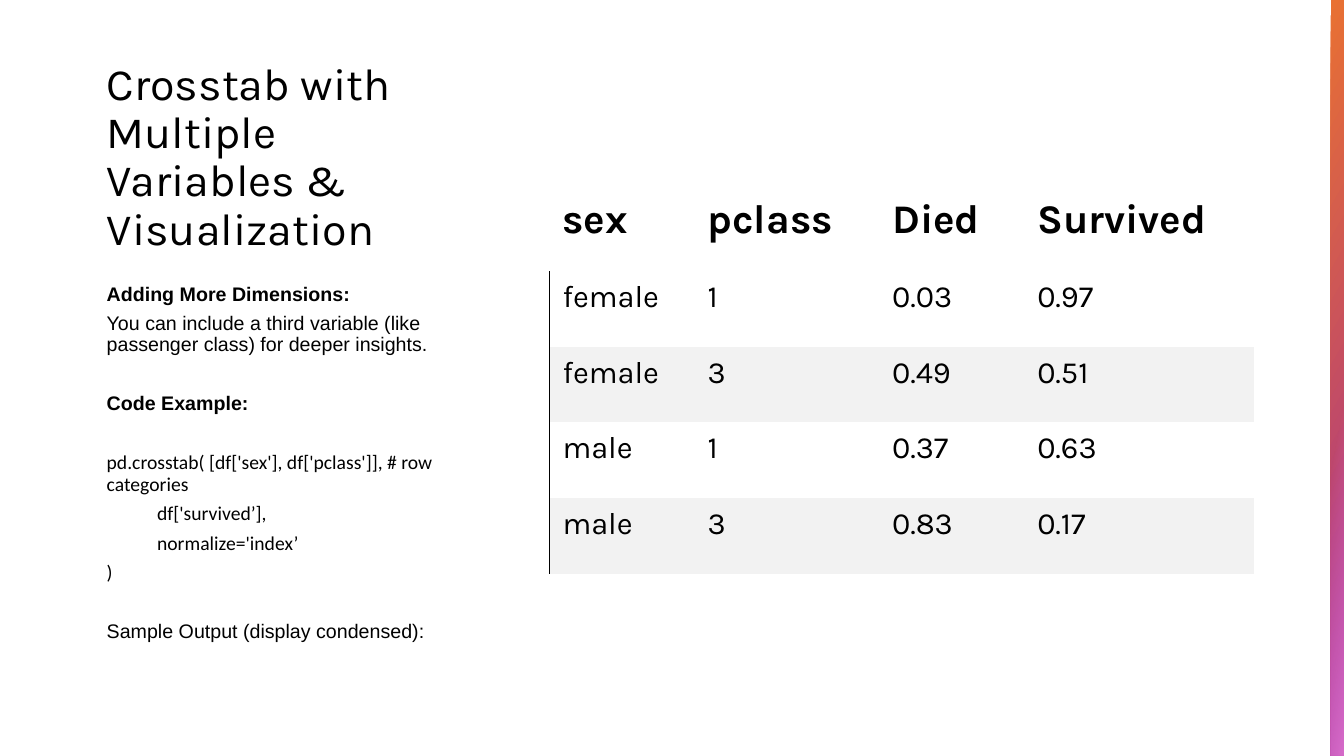
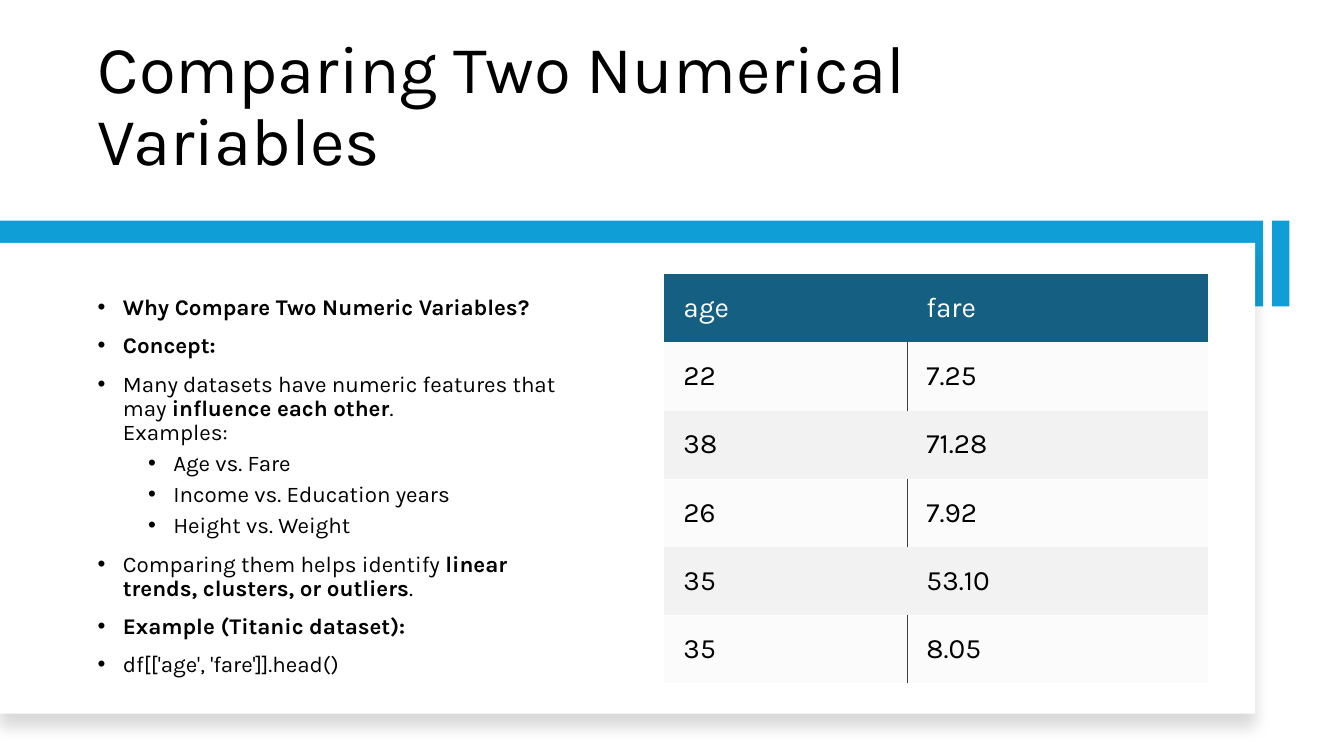
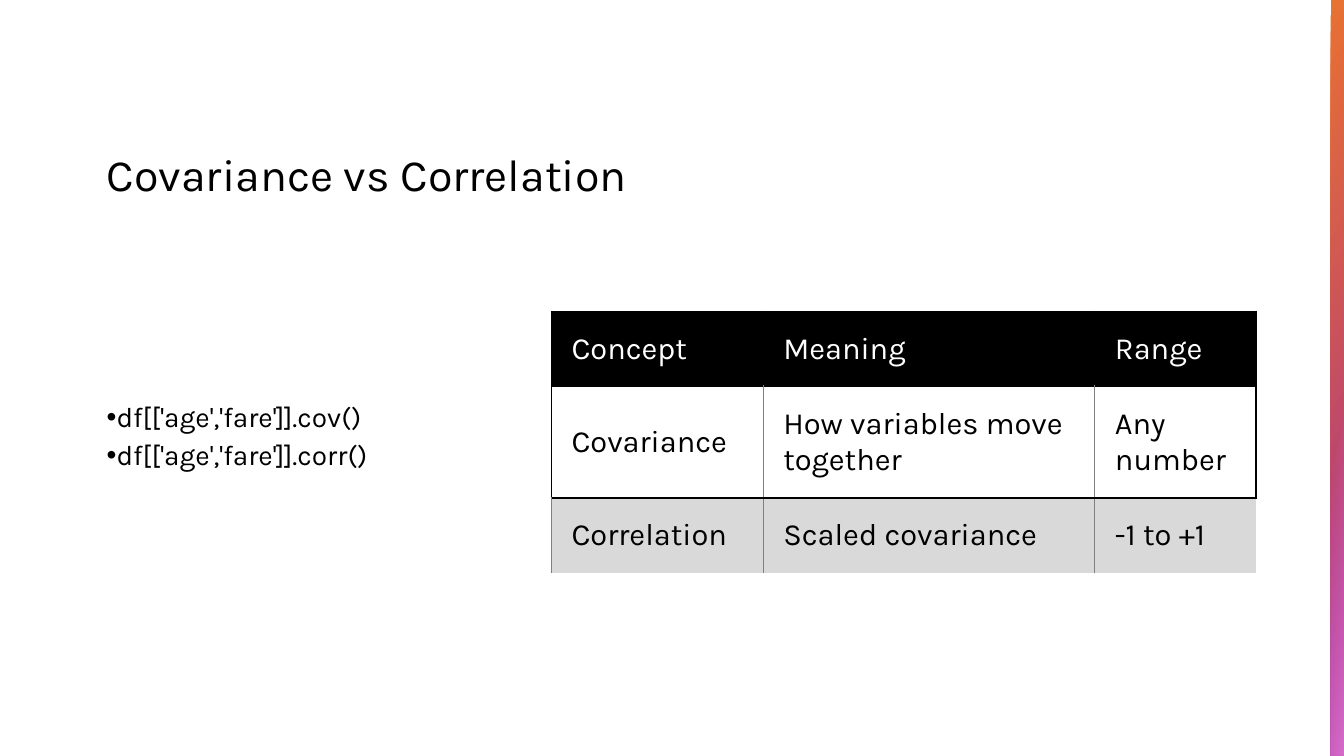
from lxml import etree
from pptx import Presentation
from pptx import util as u
from pptx.dml.color import RGBColor
from pptx.enum import shapes, text
from pptx.oxml.ns import qn

BLACK = RGBColor(0x00, 0x00, 0x00)
WHITE = RGBColor(0xFF, 0xFF, 0xFF)
BLUE = RGBColor(0x0F, 0x9E, 0xD5)
NAVY = RGBColor(0x15, 0x60, 0x82)
ORANGE = RGBColor(0xE9, 0x71, 0x32)
PURPLE = RGBColor(0xA0, 0x2B, 0x93)
PINK = RGBColor(0xD8, 0x6E, 0xCC)
BAND = RGBColor(0xF2, 0xF2, 0xF2)
PALE_BAND = RGBColor(0xFB, 0xFB, 0xFB)
SILVER = RGBColor(0xD9, 0xD9, 0xD9)
GRAY = RGBColor(0x80, 0x80, 0x80)
CHARCOAL = RGBColor(0x40, 0x40, 0x40)

FONT = "Karla"
WIDTH, HEIGHT = u.Inches(13.33), u.Inches(7.5)
NO_GRID = "{2D5ABB26-0587-4C30-8999-92F81FD0307C}"
EDGES = {"l": "a:lnL", "r": "a:lnR", "t": "a:lnT", "b": "a:lnB"}
HAIRLINE = (GRAY, 0.5)
THICK = (BLACK, 1.5)


def across(share):
    """Turn a percentage of the slide width into a length."""
    return round(WIDTH * share / 100)


def down(share):
    """Turn a percentage of the slide height into a length."""
    return round(HEIGHT * share / 100)


def box(left, top, width, height):
    """Turn percentages of the slide into a position and a size."""
    return across(left), down(top), across(width), down(height)


def child(parent, tag, **attrs):
    """Add an XML element below a parent."""
    element = etree.SubElement(parent, qn(tag))
    for name, value in attrs.items():
        element.set(name, str(value))
    return element


def add_color(parent, color, alpha=100):
    """Add an RGB colour with an opacity in percent."""
    rgb = child(parent, "a:srgbClr", val=color)
    if alpha < 100:
        child(rgb, "a:alpha", val=alpha * 1000)


def format_run(r, size, color=BLACK, bold=False, font=FONT):
    """Set the font of a run."""
    r.font.name = font
    r.font.size = u.Pt(size)
    r.font.bold = bold
    r.font.color.rgb = color


def new_slide(prs, title, at, size):
    """Add a slide with a left-aligned title."""
    s = prs.slides.add_slide(prs.slide_layouts[5])
    sp = s.shapes.title
    sp.left, sp.top, sp.width, sp.height = box(*at)
    tf = sp.text_frame
    tf.text = title
    tf.word_wrap = True
    tf.auto_size = text.MSO_AUTO_SIZE.NONE
    tf.vertical_anchor = text.MSO_ANCHOR.BOTTOM
    p = tf.paragraphs[0]
    p.alignment = text.PP_ALIGN.LEFT
    p.line_spacing = 0.9
    format_run(p.runs[0], size)
    return s


def add_rect(s, at, color):
    """Add a plain rectangle without an outline."""
    sp = s.shapes.add_shape(shapes.MSO_SHAPE.RECTANGLE, *box(*at))
    sp.shadow.inherit = False
    sp.fill.solid()
    sp.fill.fore_color.rgb = color
    sp.line.fill.background()
    return sp


def add_gradient(s, at, stops, angle):
    """Add a rectangle with a gradient of (position, colour, opacity) stops."""
    sp = add_rect(s, at, stops[0][1])
    solid = sp._element.spPr.find(qn("a:solidFill"))
    grad = etree.Element(qn("a:gradFill"))
    stop_list = child(grad, "a:gsLst")
    for position, color, alpha in stops:
        add_color(child(stop_list, "a:gs", pos=position * 1000), color, alpha)
    child(grad, "a:lin", ang=angle * 60000, scaled=0)
    solid.getparent().replace(solid, grad)


def add_side_bar(s):
    """Add the gradient bar at the right edge."""
    add_gradient(s, (99, 0, 1, 100), [(0, ORANGE, 100), (100, PURPLE, 100)], 30)
    add_gradient(s, (99, 51.47, 1, 48.53), [(19, PINK, 0), (100, PINK, 100)], 10)


def add_panel(s, at):
    """Add a white panel with a soft shadow below it."""
    sp = add_rect(s, at, WHITE)
    effects = sp._element.spPr.find(qn("a:effectLst"))
    shadow = child(effects, "a:outerShdw", blurRad=u.Pt(11), dist=u.Pt(10),
                   dir=90 * 60000, algn="t", rotWithShape=0)
    add_color(shadow, BLACK, 15)


def add_text_box(s, at, anchor=text.MSO_ANCHOR.TOP):
    """Add a wrapping text box and return its frame."""
    tf = s.shapes.add_textbox(*box(*at)).text_frame
    tf.word_wrap = True
    tf.vertical_anchor = anchor
    return tf


def add_paragraph(tf, content, size, before=0, after=0, font=FONT, bullet=None):
    """Add a paragraph where ** switches bold; bullet is its left margin."""
    first = not tf.paragraphs[0].runs
    p = tf.paragraphs[0] if first else tf.add_paragraph()
    p.line_spacing = 0.9
    p.space_before = u.Pt(0 if first else before)
    p.space_after = u.Pt(after)
    if bullet is not None:
        pPr = p._p.get_or_add_pPr()
        pPr.set("marL", str(u.Inches(bullet)))
        pPr.set("indent", str(u.Inches(-0.25)))
        child(pPr, "a:buFont", typeface="Arial")
        child(pPr, "a:buChar", char="•")
    for i, part in enumerate(content.split("**")):
        for j, line in enumerate(part.split("\n")):
            if j:
                p.add_line_break()
                child(p._p[-1], "a:rPr", sz=size * 100)
            if line:
                r = p.add_run()
                r.text = line
                format_run(r, size, bold=i % 2 == 1, font=font)


def set_edges(cell, edges):
    """Draw the given cell borders and hide the others."""
    tcPr = cell._tc.get_or_add_tcPr()
    for side, tag in EDGES.items():
        if side in edges:
            color, width = edges[side]
            ln = child(tcPr, tag, w=u.Pt(width))
            add_color(child(ln, "a:solidFill"), color)
        else:
            child(child(tcPr, tag, w=0), "a:noFill")


def add_table(s, at, cols, heights, rows, sizes, insets, look, bold_head=False):
    """Add a table; look(i, j) gives fill, font colour and borders of a cell."""
    frame = s.shapes.add_table(len(rows), len(cols),
                               *box(*at, sum(cols), sum(heights)))
    table = frame.table
    table.first_row = table.horz_banding = False
    table._tbl.tblPr.find(qn("a:tableStyleId")).text = NO_GRID
    for column, width in zip(table.columns, cols):
        column.width = across(width)
    for i, values in enumerate(rows):
        table.rows[i].height = down(heights[i])
        for j, value in enumerate(values):
            cell = table.cell(i, j)
            fill, color, edges = look(i, j)
            set_edges(cell, edges)
            if fill is None:
                cell.fill.background()
            else:
                cell.fill.solid()
                cell.fill.fore_color.rgb = fill
            (cell.margin_left, cell.margin_top,
             cell.margin_right, cell.margin_bottom) = map(u.Inches, insets)
            head = i == 0
            cell.vertical_anchor = (text.MSO_ANCHOR.BOTTOM if head and bold_head
                                    else text.MSO_ANCHOR.MIDDLE)
            cell.text_frame.text = value
            format_run(cell.text_frame.paragraphs[0].runs[0],
                       sizes[0] if head else sizes[1], color, head and bold_head)


def crosstab_look(i, j):
    """Style the crosstab: gray even rows and a line at the left."""
    edges = {"l": (BLACK, 0.75)} if i and j == 0 else {}
    return BAND if i and i % 2 == 0 else None, BLACK, edges


def fare_look(i, j):
    """Style the fare table: dark head, bands and a divider in odd rows."""
    if i == 0:
        return NAVY, WHITE, {}
    if i % 2 == 0:
        return BAND, BLACK, {}
    return PALE_BAND, BLACK, {"l" if j else "r": (CHARCOAL, 0.5)}


def concept_look(i, j):
    """Style the concept table: black head and a framed middle row."""
    if i == 0:
        return BLACK, WHITE, dict.fromkeys(EDGES, THICK)
    if i == 1:
        return None, BLACK, {"l": HAIRLINE if j else THICK,
                             "r": HAIRLINE if j < 2 else THICK,
                             "t": THICK, "b": THICK}
    edges = {"l": HAIRLINE, "t": THICK}
    if j < 2:
        edges["r"] = HAIRLINE
    return SILVER, BLACK, edges


def crosstab_slide(prs):
    """Build the slide on crosstabs."""
    s = new_slide(prs, "Crosstab with Multiple Variables & Visualization",
                  (7.2, 10.8, 28.35, 23.6), 32)
    tf = add_text_box(s, (7.2, 36.93, 28.35, 50.27))
    for content, font, after in [
        ("**Adding More Dimensions:**", "Arial", 6),
        ("You can include a third variable (like passenger class) "
         "for deeper insights.", "Arial", 27),
        ("**Code Example:**", "Arial", 27),
        ("pd.crosstab( [df['sex'], df['pclass']], # row categories", "Calibri", 6),
        ("\tdf['survived’],", "Calibri", 6),
        ("\tnormalize='index’", "Calibri", 6),
        (")", "Calibri", 27),
        ("Sample Output (display condensed):", "Arial", 6),
    ]:
        add_paragraph(tf, content, 14, after=after, font=font)
    add_side_bar(s)
    rows = [("sex", "pclass", "Died", "Survived"),
            ("female", "1", "0.03", "0.97"),
            ("female", "3", "0.49", "0.51"),
            ("male", "1", "0.37", "0.63"),
            ("male", "3", "0.83", "0.17")]
    add_table(s, (40.88, 24.27), [10.8, 13.73, 10.8, 17.1], [11.6] + [10] * 4,
              rows, (29, 22), (0.13, 0.04, 0.18, 0.27), crosstab_look, True)


def numerical_slide(prs):
    """Build the slide on two numerical variables."""
    s = new_slide(prs, "Comparing Two Numerical Variables",
                  (6.53, 5.6, 82.58, 18.93), 48)
    add_rect(s, (0, 29.2, 93.98, 11.33), BLUE)
    add_panel(s, (0, 32.13, 93.38, 62.27))
    tf = add_text_box(s, (6.53, 37.87, 37.2, 53.07), text.MSO_ANCHOR.MIDDLE)
    for level, content in [
        (0, "**Why Compare Two Numeric Variables?**"),
        (0, "**Concept:**"),
        (0, "Many datasets have numeric features that may "
            "**influence each other**.\nExamples:"),
        (1, "Age vs. Fare"),
        (1, "Income vs. Education years"),
        (1, "Height vs. Weight"),
        (0, "Comparing them helps identify "
            "**linear trends, clusters, or outliers**."),
        (0, "**Example (Titanic dataset):**"),
        (0, "df[['age', 'fare']].head()"),
    ]:
        add_paragraph(tf, content, 16, before=5 if level else 10,
                      bullet=0.25 + level * 0.5)
    add_rect(s, (94.65, 29.2, 1.28, 11.33), BLUE)
    rows = [("age", "fare"), ("22", "7.25"), ("38", "71.28"),
            ("26", "7.92"), ("35", "53.10"), ("35", "8.05")]
    add_table(s, (49.43, 36.27), [18.08, 22.35], [9.02] * len(rows),
              rows, (20, 20), (0.19, 0.14, 0.14, 0.14), fare_look)


def covariance_slide(prs):
    """Build the slide on covariance and correlation."""
    s = new_slide(prs, "Covariance vs Correlation", (7.2, 10.8, 61.43, 16.53), 32)
    tf = add_text_box(s, (7.2, 52.67, 28.35, 34.53))
    for method in ("cov", "corr"):
        add_paragraph(tf, f"df[['age','fare']].{method}()", 20, after=6, bullet=0)
    add_side_bar(s)
    rows = [("Concept", "Meaning", "Range"),
            ("Covariance", "How variables move together", "Any number"),
            ("Correlation", "Scaled covariance", "-1 to +1")]
    add_table(s, (41.03, 41.2), [15.75, 24.68, 12], [9.87, 14.8, 9.87],
              rows, (22, 22), (0.2, 0.16, 0.16, 0.16), concept_look)


def main():
    """Build and save the presentation."""
    prs = Presentation()
    prs.slide_width, prs.slide_height = WIDTH, HEIGHT
    crosstab_slide(prs)
    numerical_slide(prs)
    covariance_slide(prs)
    prs.save("out.pptx")


if __name__ == "__main__":
    main()
